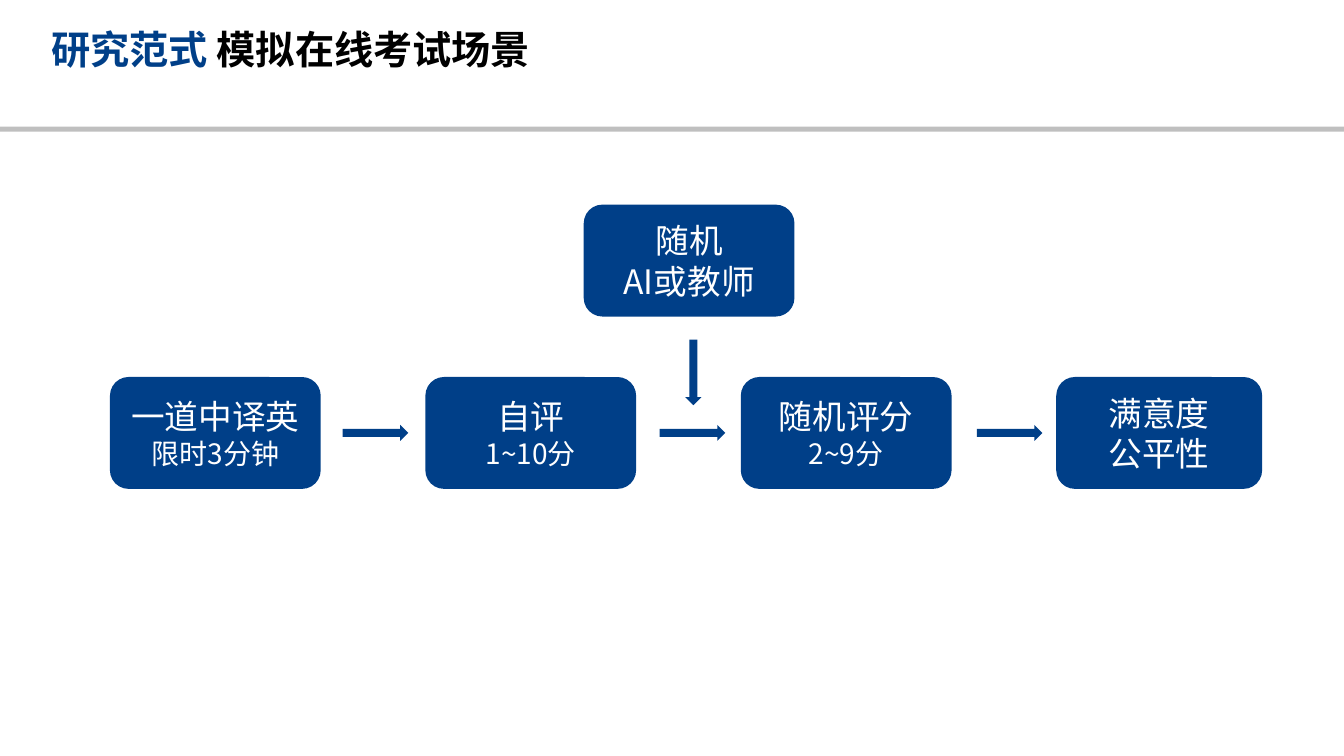
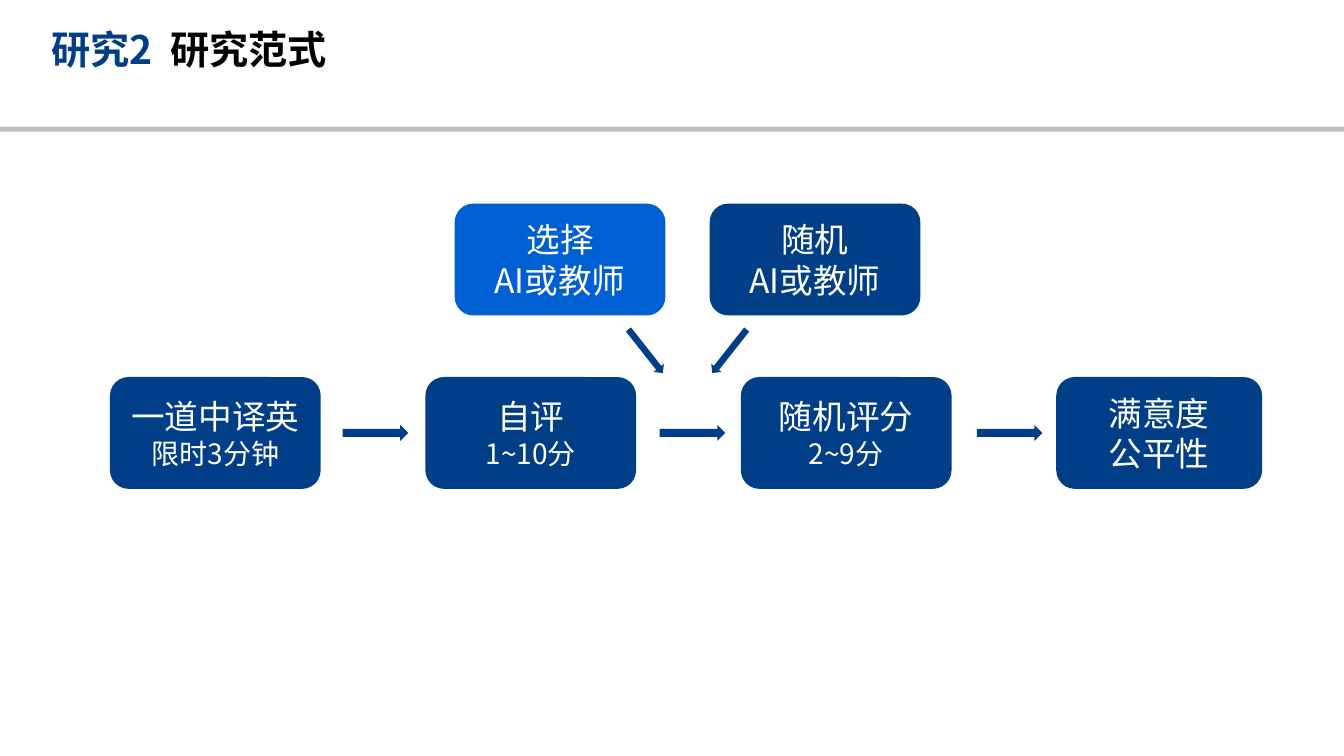
from pptx import Presentation
from pptx import util as u
from pptx.dml import color
from pptx.enum import shapes, text
from pptx.oxml import ns
from lxml import etree

INK = {"navy": "003F88", "blue": "005FD2", "gray": "BFBFBF", "black": "000000", "white": "FFFFFF"}
FONT = "Noto Sans CJK SC"
WIDE, HIGH = u.Inches(13.33), u.Inches(7.5)
COL, ROW = WIDE / 100, HIGH / 100
KIND = shapes.MSO_SHAPE
CARD = 15.68
STEPS = [
    (["一道中译英"], "限时3分钟"),
    (["自评"], "1~10分"),
    (["随机评分"], "2~9分"),
    (["满意度", "公平性"], None),
]


def place(box):
    x, y, w, h = box
    return [round(n) for n in (x * COL, y * ROW, w * COL, h * ROW)]


def rgb(name):
    return color.RGBColor.from_string(INK[name])


def shape(slide, kind, box, fill):
    item = slide.shapes.add_shape(kind, *place(box))
    item.shadow.inherit = False
    item.fill.solid()
    item.fill.fore_color.rgb = rgb(fill)
    item.line.fill.background()
    return item


def write(para, words, size, ink, bold=False):
    run = para.add_run()
    run.text = words
    font = run.font
    font.size, font.bold, font.name = u.Pt(size), bold, FONT
    font.color.rgb = rgb(ink)
    east = etree.SubElement(run._r.get_or_add_rPr(), ns.qn("a:ea"))
    east.set("typeface", FONT)


def card(slide, box, lines, note=None, fill="navy"):
    frame = shape(slide, KIND.ROUNDED_RECTANGLE, box, fill).text_frame
    frame.word_wrap = True
    frame.vertical_anchor = text.MSO_ANCHOR.MIDDLE
    for i, line in enumerate(lines):
        para = frame.add_paragraph() if i else frame.paragraphs[0]
        para.alignment = text.PP_ALIGN.CENTER
        write(para, line, 24, "white")
    if note:
        para.add_line_break()
        write(para, note, 20, "white")


def arrow(slide, mid, size=(4.88, 2.13), turn=0):
    (x, y), (w, h) = mid, size
    item = shape(slide, KIND.RIGHT_ARROW, (x - w / 2, y - h / 2, w, h), "navy")
    item.rotation = turn


def head(slide, box, lead, rest):
    x, y, w, h = box
    shape(slide, KIND.RECTANGLE, (0, y + h * 2.7, 100, 0.67), "gray")
    frame = slide.shapes.add_textbox(*place(box)).text_frame
    frame.word_wrap = True
    frame.vertical_anchor = text.MSO_ANCHOR.MIDDLE
    para = frame.paragraphs[0]
    para.line_spacing = 0.9
    write(para, lead, 28, "navy", True)
    write(para, rest, 28, "black", True)


def flow(slide, box):
    x, y, w, h = box
    for i, (lines, note) in enumerate(STEPS):
        left = 23.47 * i
        card(slide, (x + left, y, min(CARD, w - left), h), lines, note)
    for i in range(len(STEPS) - 1):
        arrow(slide, (x + 19.76 + 23.59 * i, y + h / 2))


def choice(slide, box, cards, links):
    x, y, w, h = box
    gap = (w - CARD) / max(len(cards) - 1, 1)
    for i, (word, fill) in enumerate(cards):
        card(slide, (x + gap * i, y, CARD, h), [word, "AI或教师"], fill=fill)
    for across, down, size, turn in links:
        arrow(slide, (x + w * across, y + h * down), size, turn)


def page(deck, lead, rest, box, cards, links):
    slide = deck.slides.add_slide(deck.slide_layouts[6])
    head(slide, (3.08, 4.53, 77.12, 4.53), lead, rest)
    flow(slide, (8.18, 49.87, 85.73, 14.8))
    choice(slide, box, cards, links)


def main():
    deck = Presentation()
    deck.slide_width, deck.slide_height = WIDE, HIGH
    page(deck, "研究范式 ", "模拟在线考试场景", (43.43, 27.07, CARD, 14.8),
         [("随机", "navy")], [(0.52, 1.5, (4.88, 2.13), 90)])
    slim = (4.13, 1.73)
    page(deck, "研究2 ", " 研究范式", (33.83, 26.93, 34.65, 14.8),
         [("选择", "blue"), ("随机", "navy")],
         [(0.41, 1.32, slim, 51.7), (0.59, 1.32, slim, 128.3)])
    deck.save("out.pptx")


if __name__ == "__main__":
    main()
